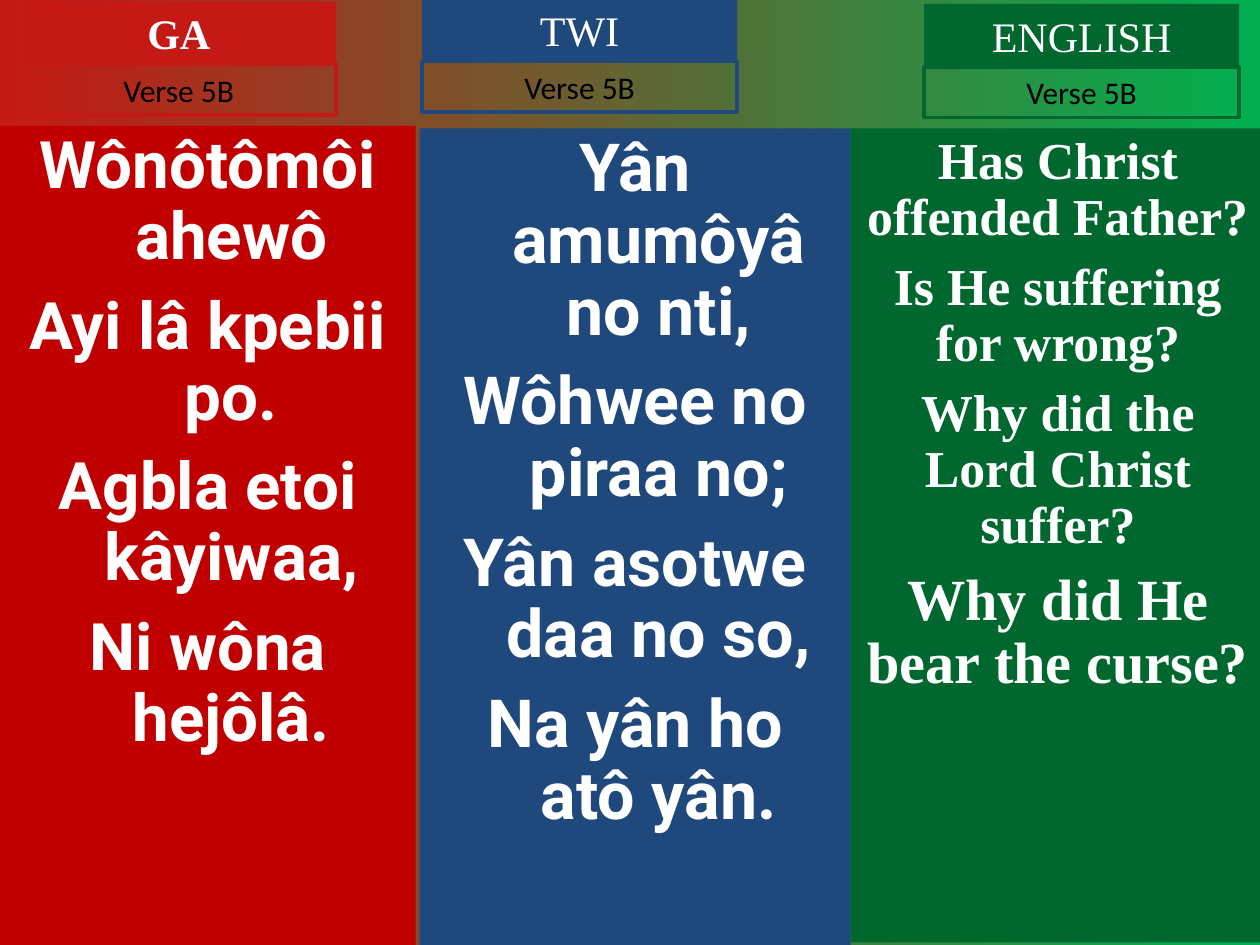
"""Build a hymn verse slide in three languages, one column each."""
from dataclasses import dataclass

from pptx import Presentation
from pptx.dml.color import RGBColor
from pptx.enum.shapes import MSO_SHAPE as Shape
from pptx.enum.text import MSO_ANCHOR as Anchor, MSO_AUTO_SIZE as AutoSize, PP_ALIGN as Align
from pptx.util import Cm, Pt

RED = RGBColor(0xC5, 0x19, 0x15)
DARK_RED = RGBColor(0xC0, 0x00, 0x00)
BLUE = RGBColor(0x1F, 0x49, 0x7D)
GREEN = RGBColor(0x00, 0x68, 0x2F)
LIGHT_GREEN = RGBColor(0x00, 0xB0, 0x50)
WHITE = RGBColor(0xFF, 0xFF, 0xFF)
BLACK = RGBColor(0x00, 0x00, 0x00)
SERIF = "Times New Roman"
LABEL_WIDTH, NAME_HEIGHT, VERSE_HEIGHT = 6.35, 1.27, 1.02


@dataclass
class Line:
    text: str
    size: float
    space: float


@dataclass
class Column:
    name: str
    lines: list[Line]
    body: tuple[float, float, float, float]
    label: tuple[float, float]
    color: RGBColor
    body_color: RGBColor
    font: str
    hanging: float = 0
    bold_name: bool = False


def make_lines(size: float, space: float, *texts: str) -> list[Line]:
    """Give several lines the same size and spacing."""
    return [Line(text, size, space) for text in texts]


COLUMNS = [
    Column("GA", make_lines(37.4, 11, "Wônôtômôi ahewô", "Ayi lâ kpebii po.",
                            "Agbla etoi kâyiwaa,", "Ni wôna hejôlâ."),
           (0, 2.54, 8.38, 16.51), (0.43, 0.03), RED, DARK_RED, "Roboto", 0.95, True),
    Column("TWI", make_lines(37.9, 10.3, "Yân amumôyâ no nti,", "Wôhwee no piraa no;",
                             "Yân asotwe daa no so,", "Na yân ho atô yân."),
           (8.46, 2.59, 8.69, 16.46), (8.51, -0.03), BLUE, BLUE, "Roboto", 0.95),
    Column("ENGLISH", make_lines(29.6, 8, "Has Christ offended Father?",
                                 "Is He suffering for wrong?",
                                 "Why did the Lord Christ suffer?")
           + make_lines(33.3, 9, "Why did He bear the curse?"),
           (17.15, 2.59, 8.36, 16.41), (18.63, 0.08), GREEN, GREEN, SERIF),
]


def add_box(slide, left: float, top: float, width: float, height: float,
            fill: RGBColor | None = None, line: RGBColor | None = None, grow: bool = False):
    """Add a rectangle and return its text frame."""
    shape = slide.shapes.add_shape(Shape.RECTANGLE, Cm(left), Cm(top), Cm(width), Cm(height))
    shape.shadow.inherit = False
    if fill is None:
        shape.fill.background()
    else:
        shape.fill.solid()
        shape.fill.fore_color.rgb = fill
    if line is None:
        shape.line.fill.background()
    else:
        shape.line.color.rgb = line
        shape.line.width = Pt(2.25)
    frame = shape.text_frame
    frame.word_wrap = True
    frame.vertical_anchor = Anchor.TOP
    frame.auto_size = AutoSize.SHAPE_TO_FIT_TEXT if grow else AutoSize.NONE
    return frame


def write(paragraph, text: str, *, size: float, font: str, color: RGBColor = WHITE,
          bold: bool = False, spacing: float = 1, before: float = 0,
          hanging: float = 0) -> None:
    """Write centred text with the given format."""
    paragraph.alignment = Align.CENTER
    paragraph.line_spacing = spacing
    paragraph.space_before = Pt(before)
    if hanging:
        properties = paragraph._p.get_or_add_pPr()
        properties.set("marL", str(Cm(hanging)))
        properties.set("indent", str(-Cm(hanging)))
    run = paragraph.add_run()
    run.text = text
    run.font.size = Pt(size)
    run.font.name = font
    run.font.bold = bold
    run.font.color.rgb = color


def draw_body(slide, column: Column) -> None:
    """Draw the panel with the verse text."""
    frame = add_box(slide, *column.body, fill=column.body_color)
    for index, line in enumerate(column.lines):
        paragraph = frame.add_paragraph() if index else frame.paragraphs[0]
        write(paragraph, line.text, size=line.size, font=column.font, bold=True, spacing=0.9,
              before=line.space if index else 0, hanging=column.hanging)


def draw_labels(slide, column: Column) -> None:
    """Draw the language name and the verse number below it."""
    left, top = column.label
    name = add_box(slide, left, top, LABEL_WIDTH, NAME_HEIGHT, fill=column.color, grow=True)
    write(name.paragraphs[0], column.name, size=24, font=SERIF, bold=column.bold_name)
    verse = add_box(slide, left, top + NAME_HEIGHT, LABEL_WIDTH, VERSE_HEIGHT,
                    line=column.color, grow=True)
    write(verse.paragraphs[0], "Verse 5B", size=18, font="Calibri", color=BLACK)


def main() -> None:
    """Build and save the presentation."""
    presentation = Presentation()
    presentation.slide_width, presentation.slide_height = Cm(25.4), Cm(19.05)
    slide = presentation.slides.add_slide(presentation.slide_layouts[6])
    background = slide.background.fill
    background.gradient()
    background.gradient_angle = 0
    for stop, color in zip(background.gradient_stops, (RED, LIGHT_GREEN)):
        stop.color.rgb = color
    for column in COLUMNS:
        draw_body(slide, column)
        draw_labels(slide, column)
    presentation.save("out.pptx")


if __name__ == "__main__":
    main()
